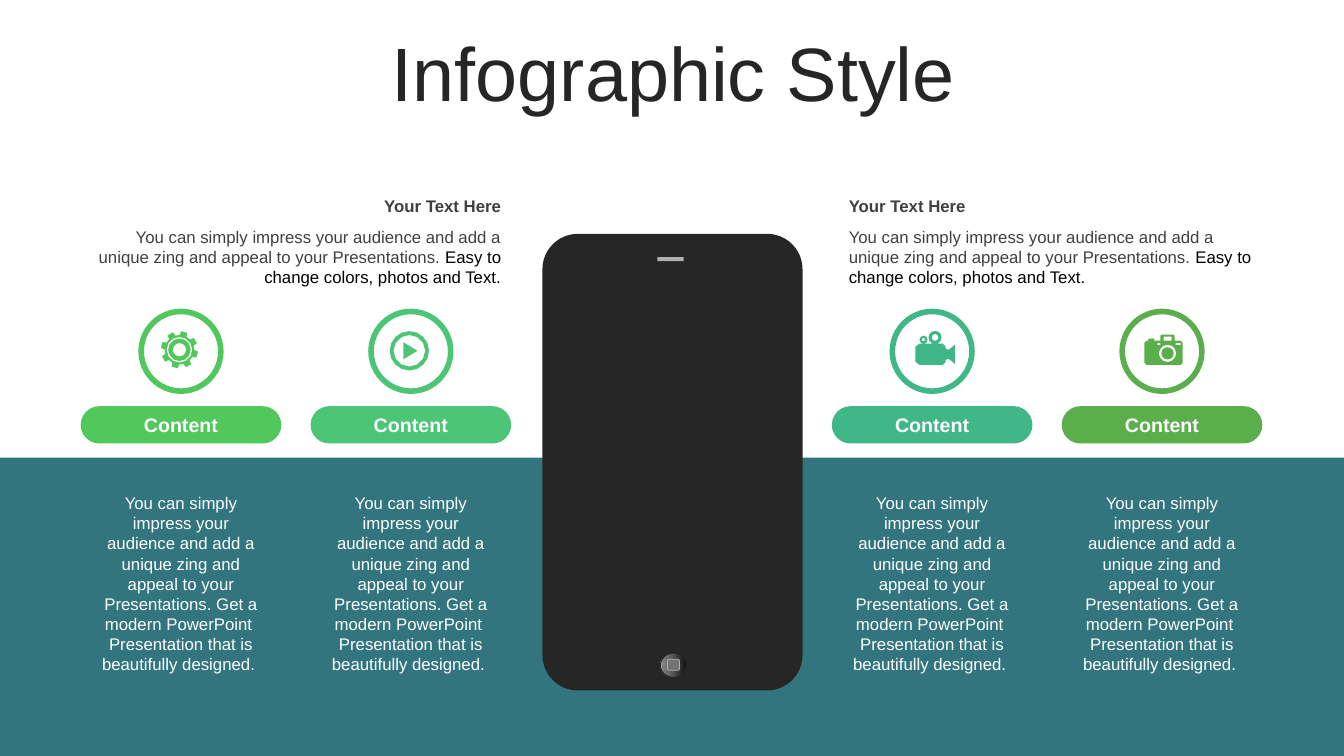
from math import cos, radians, sin

from lxml import etree
from pptx import Presentation
from pptx.dml.color import RGBColor
from pptx.enum.shapes import MSO_SHAPE
from pptx.enum.text import MSO_ANCHOR, PP_ALIGN
from pptx.oxml.ns import qn
from pptx.util import Inches, Pt

RECT, ROUND, OVAL = MSO_SHAPE.RECTANGLE, MSO_SHAPE.ROUNDED_RECTANGLE, MSO_SHAPE.OVAL
LEFT, CENTER, RIGHT = PP_ALIGN.LEFT, PP_ALIGN.CENTER, PP_ALIGN.RIGHT
MIDDLE, TOP = MSO_ANCHOR.MIDDLE, MSO_ANCHOR.TOP

WHITE = RGBColor(0xFF, 0xFF, 0xFF)
BLACK = RGBColor(0, 0, 0)
TEAL = RGBColor(0x32, 0x75, 0x7F)
DARK = RGBColor(0x26, 0x26, 0x26)
TEXT_GRAY = RGBColor(0x40, 0x40, 0x40)
LIGHT_GRAY = RGBColor(0xB0, 0xB0, 0xB0)
KEY_GRAY = RGBColor(0x73, 0x73, 0x73)
LIME = RGBColor(0x50, 0xC8, 0x5B)
MINT = RGBColor(0x4C, 0xC5, 0x76)
SEA = RGBColor(0x40, 0xB7, 0x86)
LEAF = RGBColor(0x5A, 0xAE, 0x4C)
BUTTON_STOPS = [(0, "0F0F0F"), (56, "595959"), (91, "808080"), (100, "BFBFBF")]

W, H = 13.33, 7.5
FONT = "Arial"
PITCH = 2.28
PAIR_LEFTS = (0.8, 8.25)
COLUMNS = [x + i * PITCH for x in PAIR_LEFTS for i in range(2)]
RING_Y, PILL_Y, BODY_Y, BAND_Y = 3.09, 4.03, 4.84, 4.54
RING, PILL_W, PILL_H, BODY_W, BODY_H = 0.79, 1.99, 0.37, 1.86, 1.92

INTRO = "You can simply impress your audience and add a unique zing and appeal to your Presentations. "
INTRO_END = "Easy to change colors, photos and Text."
BODY = INTRO + "Get a modern PowerPoint  Presentation that is beautifully designed. "


def add_box(shapes, kind, x, y, w, h, fill, line=None, width=0, radius=None):
    sp = shapes.add_shape(kind, Inches(x), Inches(y), Inches(w), Inches(h))
    sp.shadow.inherit = False
    sp.fill.solid()
    sp.fill.fore_color.rgb = fill
    if line is None:
        sp.line.fill.background()
    else:
        sp.line.color.rgb = line
        sp.line.width = Pt(width)
    if radius is not None:
        sp.adjustments[0] = radius
    return sp


def set_text(sp, runs, size, color, align=LEFT, bold=False, anchor=TOP):
    tf = sp.text_frame
    tf.word_wrap = True
    tf.vertical_anchor = anchor
    p = tf.paragraphs[0]
    p.alignment = align
    p.font.name, p.font.size, p.font.bold = FONT, Pt(size), bold
    for text, run_color in runs:
        r = p.add_run()
        r.text = text
        r.font.color.rgb = run_color or color
    return p


def add_text(s, x, y, w, h, runs, color, align, bold=False):
    sp = s.shapes.add_textbox(Inches(x), Inches(y), Inches(w), Inches(h))
    set_text(sp, runs, 12, color, align, bold)


def circle(cx, cy, radius, steps=12):
    angles = [radians(360 * i / steps) for i in range(steps)]
    return [(cx + radius * cos(a), cy + radius * sin(a)) for a in angles]


def rect(x1, y1, x2, y2):
    return [(x1, y1), (x2, y1), (x2, y2), (x1, y2)]


def gear_icon():
    tooth = [(-14, 14.6), (-9.5, 18.5), (9.5, 18.5), (14, 14.6)]
    outline = [(r * cos(radians(a)), r * sin(radians(a)))
               for center in range(-75, 285, 45)
               for a, r in ((center + offset, r) for offset, r in tooth)]
    return [outline] + [circle(0, 0, r) for r in (12.7, 11.2, 6.6)]


def play_icon():
    return [circle(0, 0, 19.5, 16), circle(0, 0, 15.7), [(-6, -8.5), (8, 0), (-6, 8.5)]]


def movie_icon():
    body = [(-13, -7), (10, -7), (13, -4), (13, -2), (16, -1), (22, -6),
            (22, 13), (16, 8), (13, 9), (13, 11), (10, 14), (-13, 14),
            (-17, 11), (-17, -4)]
    return [body, circle(2.4, -13.2, 6.5), circle(2.4, -13.2, 3.4, 8),
            circle(-9, -11, 4, 8), circle(-9, -11, 1.7, 6)]


def camera_icon():
    body = [(-18, -8), (-16, -10), (-14, -10), (-14, -12), (-8, -12), (-8, -10),
            (-2, -10), (-2, -15), (-1, -16), (11, -16), (12, -15), (12, -10),
            (18, -10), (20, -8), (20, 12), (18, 14), (-16, 14), (-18, 12)]
    return [body, circle(5, 2.6, 8.6), circle(5, 2.6, 6.1), rect(1, -14, 9, -10),
            rect(-5, -7.5, -2, -5.5), rect(13, -7.5, 18, -5.5)]


def add_icon(s, cx, cy, contours, color):
    placed = [[(Inches(cx + x / 100), Inches(cy + y / 100)) for x, y in c] for c in contours]
    fb = s.shapes.build_freeform(*placed[0][0])
    fb.add_line_segments(placed[0][1:])
    for contour in placed[1:]:
        fb.move_to(*contour[0])
        fb.add_line_segments(contour[1:])
    sp = fb.convert_to_shape()
    sp.shadow.inherit = False
    sp.fill.solid()
    sp.fill.fore_color.rgb = color
    sp.line.fill.background()


def add_column(s, x, icon, icon_x, icon_y, color):
    add_box(s.shapes, OVAL, x + (PILL_W - RING) / 2, RING_Y, RING, RING, WHITE, color, 4)
    add_icon(s, x + icon_x, icon_y, icon, color)
    pill = add_box(s.shapes, ROUND, x, PILL_Y, PILL_W, PILL_H, color, radius=0.5)
    set_text(pill, [("Content", None)], 14, WHITE, CENTER, True, MIDDLE)
    add_text(s, x + (PILL_W - BODY_W) / 2, BODY_Y, BODY_W, BODY_H, [(BODY, None)], WHITE, CENTER)


def add_intro(s, x, align):
    add_text(s, x, 1.89, 4.36, 0.3, [("Your Text Here", None)], TEXT_GRAY, align, True)
    add_text(s, x, 2.2, 4.36, 0.71, [(INTRO, None), (INTRO_END, BLACK)], TEXT_GRAY, align)


def add_phone(s):
    shapes = s.shapes.add_group_shape().shapes
    add_box(shapes, ROUND, 5.38, 2.32, 2.58, 4.53, DARK, radius=0.136)
    add_box(shapes, RECT, 6.52, 2.55, 0.26, 0.04, LIGHT_GRAY)
    button = add_box(shapes, OVAL, 6.55, 6.48, 0.26, 0.24, DARK, DARK)
    button.fill.gradient()
    button.fill.gradient_angle = 180
    stops = button._element.xpath(".//a:gsLst")[0]
    for gs in list(stops):
        stops.remove(gs)
    for pos, color in BUTTON_STOPS:
        gs = etree.SubElement(stops, qn("a:gs"), pos=str(pos * 1000))
        etree.SubElement(gs, qn("a:srgbClr"), val=color)
    add_box(shapes, ROUND, 6.62, 6.54, 0.12, 0.11, KEY_GRAY, LIGHT_GRAY, 0.5)


def add_title(s, text):
    title = s.shapes.title
    title.left, title.top = Inches(0.35), Inches(0.37)
    title.width, title.height = Inches(12.66), Inches(0.79)
    p = set_text(title, [(text, None)], 54, DARK, CENTER, anchor=MIDDLE)
    p.line_spacing = 0.9


def main():
    prs = Presentation()
    prs.slide_width, prs.slide_height = Inches(W), Inches(H)
    s = prs.slides.add_slide(prs.slide_layouts[5])
    add_box(s.shapes, RECT, 0, BAND_Y, W, H - BAND_Y, TEAL)
    add_phone(s)
    add_title(s, "Infographic Style")
    icons = [
        (gear_icon(), 0.98, 3.47, LIME),
        (play_icon(), 0.98, 3.48, MINT),
        (movie_icon(), 1, 3.48, SEA),
        (camera_icon(), 1, 3.48, LEAF),
    ]
    for x, icon in zip(COLUMNS, icons):
        add_column(s, x, *icon)
    add_intro(s, 0.71, RIGHT)
    add_intro(s, 8.32, LEFT)
    prs.save("out.pptx")


if __name__ == "__main__":
    main()
